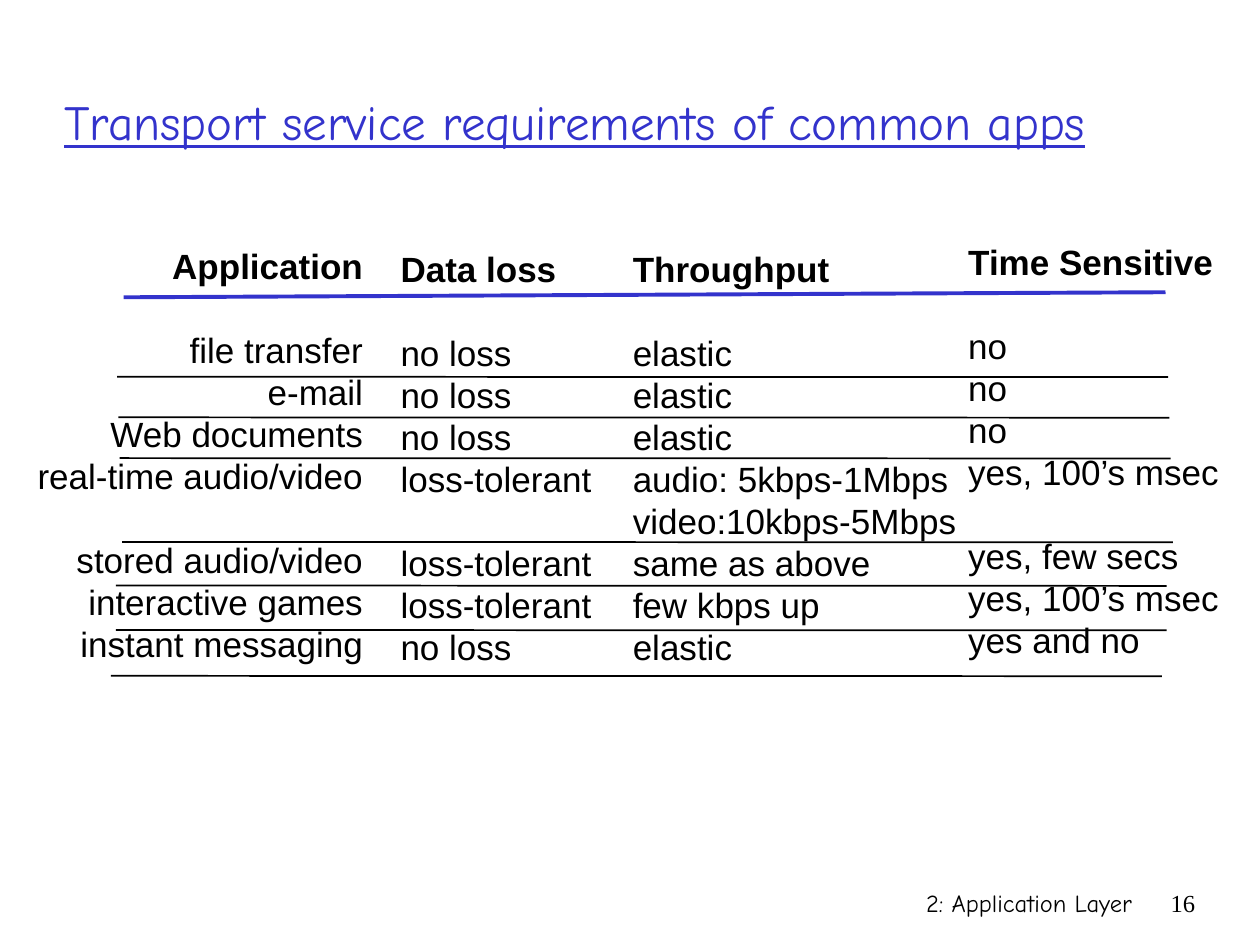
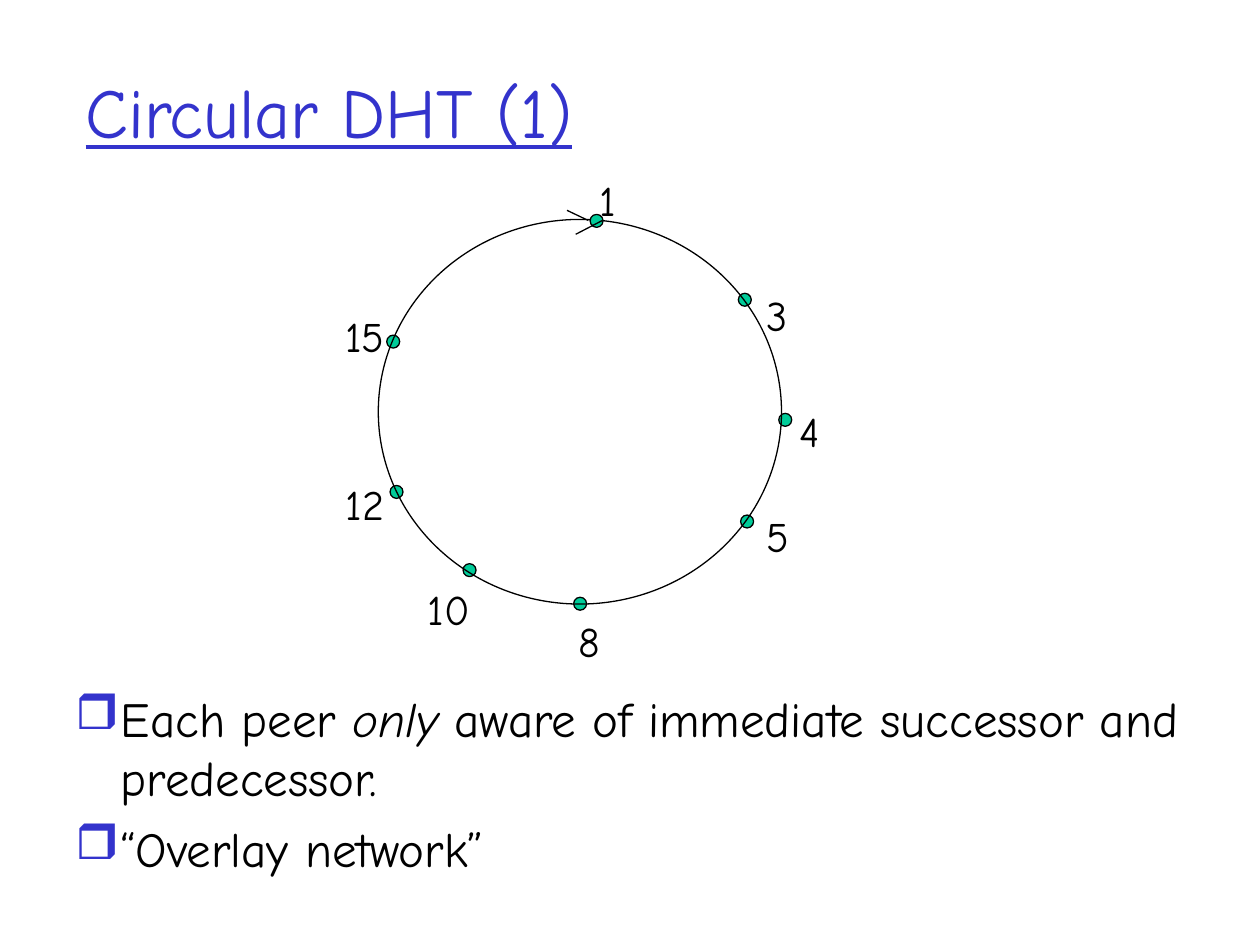
"""Build two slides: transport needs of common apps, and a circular DHT."""
import pptx
import pptx.util
import pptx.dml.color
import pptx.enum.shapes
import pptx.enum.text
import pptx.oxml
import pptx.oxml.ns

Pt = pptx.util.Pt
Color = pptx.dml.color.RGBColor.from_string
Align = pptx.enum.text.PP_ALIGN
Anchor = pptx.enum.text.MSO_ANCHOR
Oval = pptx.enum.shapes.MSO_SHAPE.OVAL

THEME = {
    "accent": "3333CC", "ink": "000000", "peer": "00CC99",
    "hand": "Comic Neue", "plain": "Arial", "serif": "Times New Roman",
    "title": 40, "long title": 28, "body": 28, "label": 24, "table": 20, "footer": 14,
}
TITLE_FORMAT = {"underline": True}
TITLE_FRAME = {"vertical_anchor": Anchor.MIDDLE}


def add_text(slide, box, paragraphs, size, font=THEME["hand"], color=THEME["ink"],
             run_format=None, paragraph_format=None, frame_format=None):
    frame = slide.shapes.add_textbox(*map(Pt, box)).text_frame
    for name, value in {"word_wrap": True, **(frame_format or {})}.items():
        setattr(frame, name, value)
    for index, runs in enumerate(paragraphs):
        paragraph = frame.add_paragraph() if index else frame.paragraphs[0]
        for name, value in (paragraph_format or {}).items():
            setattr(paragraph, name, value)
        for text, extra in [(runs, {})] if isinstance(runs, str) else runs:
            run = paragraph.add_run()
            run.text = text
            run.font.color.rgb = Color(color)
            settings = {"size": Pt(size), "name": font, **(run_format or {}), **extra}
            for name, value in settings.items():
                setattr(run.font, name, value)
    return frame


def add_line(slide, ends, color, width):
    line = slide.shapes.add_connector(
        pptx.enum.shapes.MSO_CONNECTOR.STRAIGHT, *map(Pt, ends))
    line.line.color.rgb = Color(color)
    line.line.width = Pt(width)
    properties = line._element.spPr
    properties.append(properties.makeelement(pptx.oxml.ns.qn("a:effectLst"), {}))


presentation = pptx.Presentation()
presentation.slide_width, presentation.slide_height = Pt(720), Pt(540)
blank = presentation.slide_layouts[6]

slide = presentation.slides.add_slide(blank)
for box, text, font in [
    ((426, 504, 228, 36), "2: Application Layer", THEME["hand"]),
    ((654, 504, 36, 36), "16", THEME["serif"]),
]:
    add_text(slide, box, [text], THEME["footer"], font,
             paragraph_format={"alignment": Align.RIGHT})
add_text(slide, (29.5, 24, 646, 90), ["Transport service requirements of common apps"],
         THEME["long title"], color=THEME["accent"], run_format=TITLE_FORMAT,
         frame_format=TITLE_FRAME)

columns = [
    ((8, 136.1, 206.6), Align.RIGHT, [
        "Application", "file transfer", "e-mail", "Web documents",
        "real-time audio/video", None, "stored audio/video",
        "interactive games", "instant messaging"]),
    ((221.8, 137.9, 130), Align.LEFT, [
        "Data loss", "no loss", "no loss", "no loss", "loss-tolerant", None,
        "loss-tolerant", "loss-tolerant", "no loss"]),
    ((354.5, 137.8, 203), Align.LEFT, [
        "Throughput", "elastic", "elastic", "elastic", "audio: 5kbps-1Mbps",
        "video:10kbps-5Mbps", "same as above", "few kbps up", "elastic"]),
    ((546.2, 133.9, 162.7), Align.LEFT, [
        "Time Sensitive", "no", "no", "no", "yes, 100’s msec", None,
        "yes, few secs", "yes, 100’s msec", "yes and no"]),
]
row_height = Pt(24)
for (left, top, width), alignment, rows in columns:
    frame = add_text(
        slide, (left, top, width, 247.7), [text for text in rows if text],
        THEME["table"], THEME["plain"],
        paragraph_format={"alignment": alignment, "line_spacing": row_height})
    frame.paragraphs[0].runs[0].font.bold = True
    frame.paragraphs[1].space_before = row_height
    if None in rows:
        frame.paragraphs[rows.index(None)].space_before = row_height

add_line(slide, (70.6, 169.9, 666, 167), THEME["accent"], 2.25)
for left, top in [(67, 215.3), (67.7, 238.5), (68.4, 261.8), (69.8, 309.7),
                  (66.2, 334.6), (66.2, 360), (63.4, 386.2)]:
    add_line(slide, (left, top, left + 600.5, top + 0.2), THEME["ink"], 1)

slide = presentation.slides.add_slide(blank)
dot = 7.4
label_size = (45, 36)
peers = [
    ("8", (327.8, 341.3), (323.3, 348.2)),
    ("15", (221, 191.5), (190.1, 174.2)),
    ("12", (222.9, 277.4), (190.5, 270)),
    ("3", (421.9, 167.6), (431.1, 162)),
    ("4", (445, 236.2), (450, 228.2)),
    ("5", (423.2, 294.3), (431.1, 288)),
    ("10", (264.6, 322.1), (237.4, 329.8)),
    ("1", (337.2, 122.5), (335.5, 96.2)),
]
ovals = [(*corner, dot, dot, THEME["peer"]) for name, corner, label in peers]
ovals.insert(-1, (216.2, 125.4, 230.4, 219.8, None))
for *box, color in ovals:
    shape = slide.shapes.add_shape(Oval, *map(Pt, box))
    shape.shadow.inherit = False
    shape.line.color.rgb = Color(THEME["ink"])
    shape.line.width = Pt(0.75)
    if color:
        shape.fill.solid()
        shape.fill.fore_color.rgb = Color(color)
    else:
        shape.fill.background()
for name, corner, label in peers:
    add_text(slide, (*label, *label_size), [name], THEME["label"])
for ends in [(324, 120.2, 336.2, 126), (344.2, 126, 329, 133.9)]:
    add_line(slide, ends, THEME["ink"], 0.75)

add_text(slide, (41.8, 18, 612, 90), ["Circular DHT (1)"], THEME["title"],
         color=THEME["accent"], run_format=TITLE_FORMAT, frame_format=TITLE_FRAME)
frame = add_text(slide, (36, 390, 648, 120), [
    [("Each peer ", {}), ("only", {"italic": True}),
     (" aware of immediate successor and predecessor.", {})],
    "“Overlay network”",
], THEME["body"])
frame.paragraphs[1].space_before = Pt(7)
indent = Pt(26)
namespace = pptx.oxml.ns.nsdecls("a")
for paragraph in frame.paragraphs:
    properties = paragraph._p.get_or_add_pPr()
    properties.set("marL", str(indent))
    properties.set("indent", str(-indent))
    for markup in [
        f'<a:buClr {namespace}><a:srgbClr val="{THEME["accent"]}"/></a:buClr>',
        f'<a:buChar {namespace} char="❒"/>',
    ]:
        properties.append(pptx.oxml.parse_xml(markup))

presentation.save("out.pptx")
